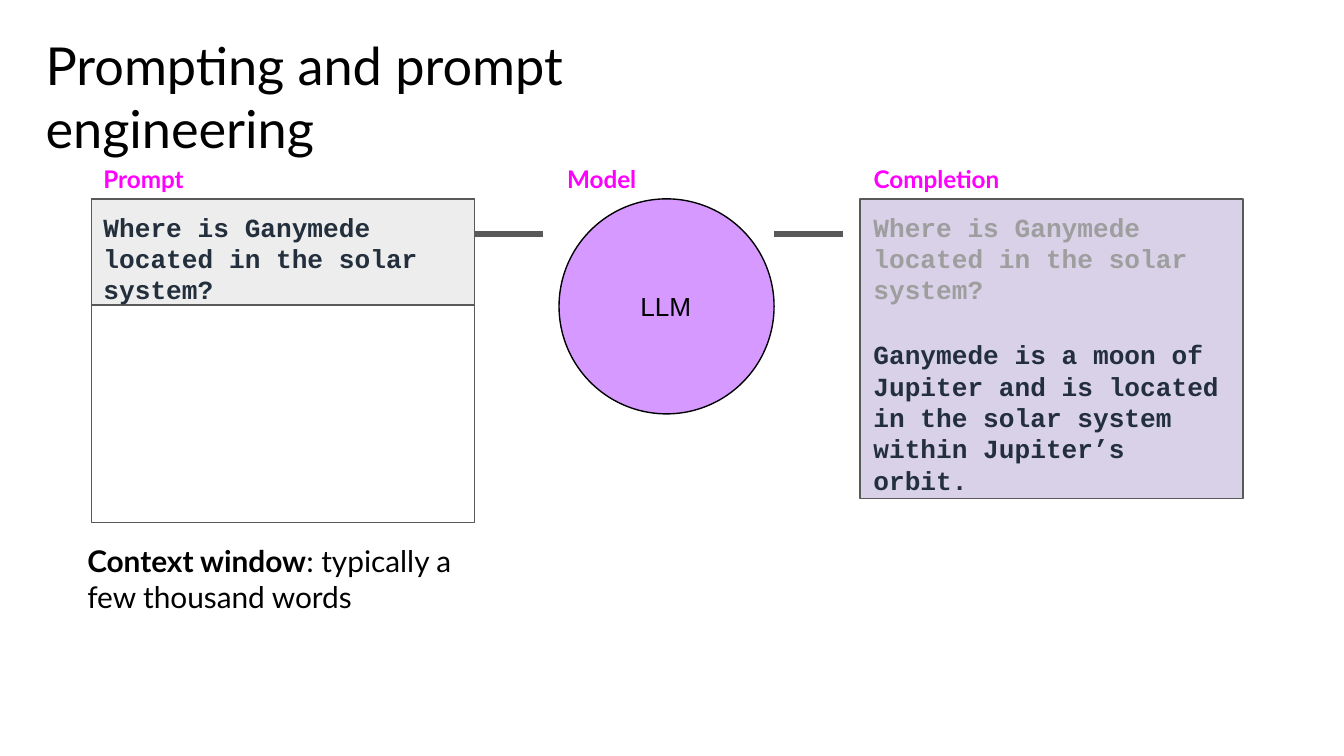
from pptx import Presentation
from pptx.dml.color import RGBColor
from pptx.enum.shapes import MSO_CONNECTOR, MSO_SHAPE
from pptx.enum.text import MSO_ANCHOR, PP_ALIGN
from pptx.oxml.ns import qn
from pptx.util import Inches, Pt
from lxml import etree

RECT, OVAL = MSO_SHAPE.RECTANGLE, MSO_SHAPE.OVAL
STRAIGHT = MSO_CONNECTOR.STRAIGHT
TOP, MIDDLE = MSO_ANCHOR.TOP, MSO_ANCHOR.MIDDLE
LEFT, CENTER = PP_ALIGN.LEFT, PP_ALIGN.CENTER

BLACK, INK, FADED, GRAY, PINK = "000000", "232F3D", "9E9E9E", "595959", "FF00FF"

TITLE = "Prompting and prompt engineering"
QUESTION = "Where is Ganymede located in the solar system?"
ANSWER = "Ganymede is a moon of Jupiter and is located in the solar system within Jupiter’s orbit."
LABELS = [("Prompt", 0.76, 0.65), ("Model", 4.21, 0.55), ("Completion", 6.49, 0.98)]

SLIDE_WIDTH = 10
SLIDE_HEIGHT = SLIDE_WIDTH * 9 / 16
ROW_TOP, PANEL_WIDTH = 1.48, 2.85
PROMPT_LEFT, COMPLETION_LEFT = 0.68, 6.4
CIRCLE_LEFT, CIRCLE_SIZE = 4.16, 1.6
LINK_Y, LINK_LENGTH = 1.74, 0.51


def color(value):
    return RGBColor.from_string(value)


def write(box, paragraphs, size=14, font="Lato", insets=(0.01, 0, 0, 0),
          gap=0, align=LEFT, anchor=TOP):
    """Fill a shape with paragraphs, each a list of (text, colour, bold)."""
    frame = box.text_frame
    frame.word_wrap = True
    frame.vertical_anchor = anchor
    (frame.margin_left, frame.margin_top,
     frame.margin_right, frame.margin_bottom) = map(Inches, insets)
    for index, spans in enumerate(paragraphs):
        para = frame.add_paragraph() if index else frame.paragraphs[0]
        para.alignment = align
        if index:
            para.space_before = Pt(gap)
        for text, ink, bold in spans:
            span = para.add_run()
            span.text = text
            span.font.size, span.font.name, span.font.bold = Pt(size), font, bold
            span.font.color.rgb = color(ink)


def add_text(slide, area, paragraphs, **style):
    write(slide.shapes.add_textbox(*map(Inches, area)), paragraphs, **style)


def add_outlined(slide, kind, area, fill=None, line=GRAY):
    shape = slide.shapes.add_shape(kind, *map(Inches, area))
    shape.shadow.inherit = False
    if fill:
        shape.fill.solid()
        shape.fill.fore_color.rgb = color(fill)
    else:
        shape.fill.background()
    shape.line.color.rgb = color(line)
    shape.line.width = Pt(0.75)
    return shape


def add_link(slide, left):
    link = slide.shapes.add_connector(
        STRAIGHT, *map(Inches, (left, LINK_Y, left + LINK_LENGTH, LINK_Y)))
    link.line.color.rgb = color(GRAY)
    link.line.width = Pt(3)
    etree.SubElement(link._element.spPr, qn("a:effectLst"))


deck = Presentation()
deck.slide_width, deck.slide_height = Inches(SLIDE_WIDTH), Inches(SLIDE_HEIGHT)
slide = deck.slides.add_slide(deck.slide_layouts[6])

add_text(slide, (0.17, 0.24, 4.66, 0.96), [[(TITLE, BLACK, False)]],
         size=28, insets=(0.17, 0.01, 0, 0))

code_style = {"font": "Courier New", "gap": 18}
prompt = add_outlined(slide, RECT, (PROMPT_LEFT, ROW_TOP, PANEL_WIDTH, 0.79), "EDEDED")
write(prompt, [[(QUESTION, INK, True)]], insets=(0.09, 0.09, 0, 0), **code_style)

model = add_outlined(slide, OVAL, (CIRCLE_LEFT, ROW_TOP, CIRCLE_SIZE, CIRCLE_SIZE),
                     "D699FF", BLACK)
write(model, [[("LLM", BLACK, False)]], font="Arial", insets=(0, 0, 0.01, 0.01),
      align=CENTER, anchor=MIDDLE)

completion = add_outlined(slide, RECT, (COMPLETION_LEFT, ROW_TOP, PANEL_WIDTH, 2.23), "D8D1E8")
write(completion, [[(QUESTION, FADED, True)], [(ANSWER, INK, True)]],
      insets=(0.1, 0.09, 0.15, 0), **code_style)

for link_left in (PROMPT_LEFT + PANEL_WIDTH, CIRCLE_LEFT + CIRCLE_SIZE):
    add_link(slide, link_left)

add_outlined(slide, RECT, (PROMPT_LEFT, ROW_TOP, PANEL_WIDTH, 2.41))

for label, left, width in LABELS:
    add_text(slide, (left, 1.22, width, 0.23), [[(label, PINK, True)]], size=13)

add_text(slide, (0.64, 4.04, 2.8, 0.55),
         [[("Context window", BLACK, True),
           (": typically a few thousand words", BLACK, False)]], size=16)

deck.save("out.pptx")
